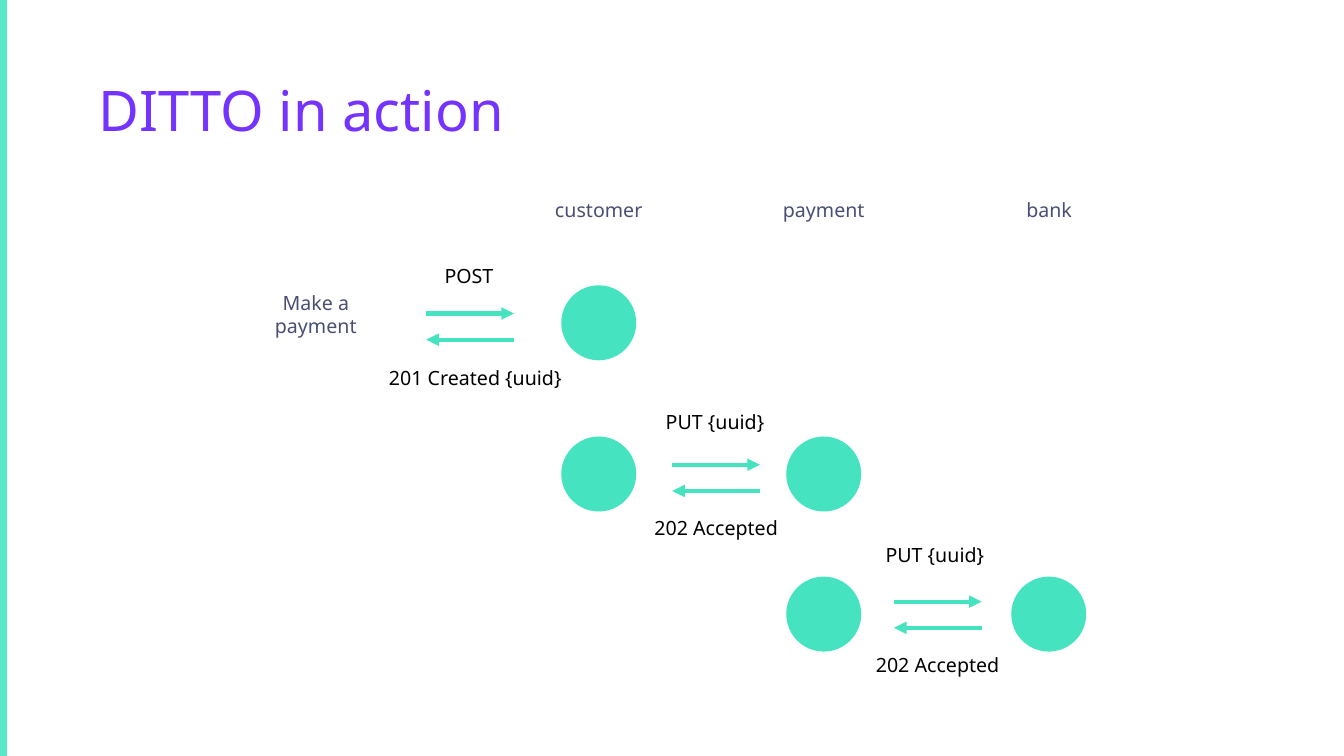
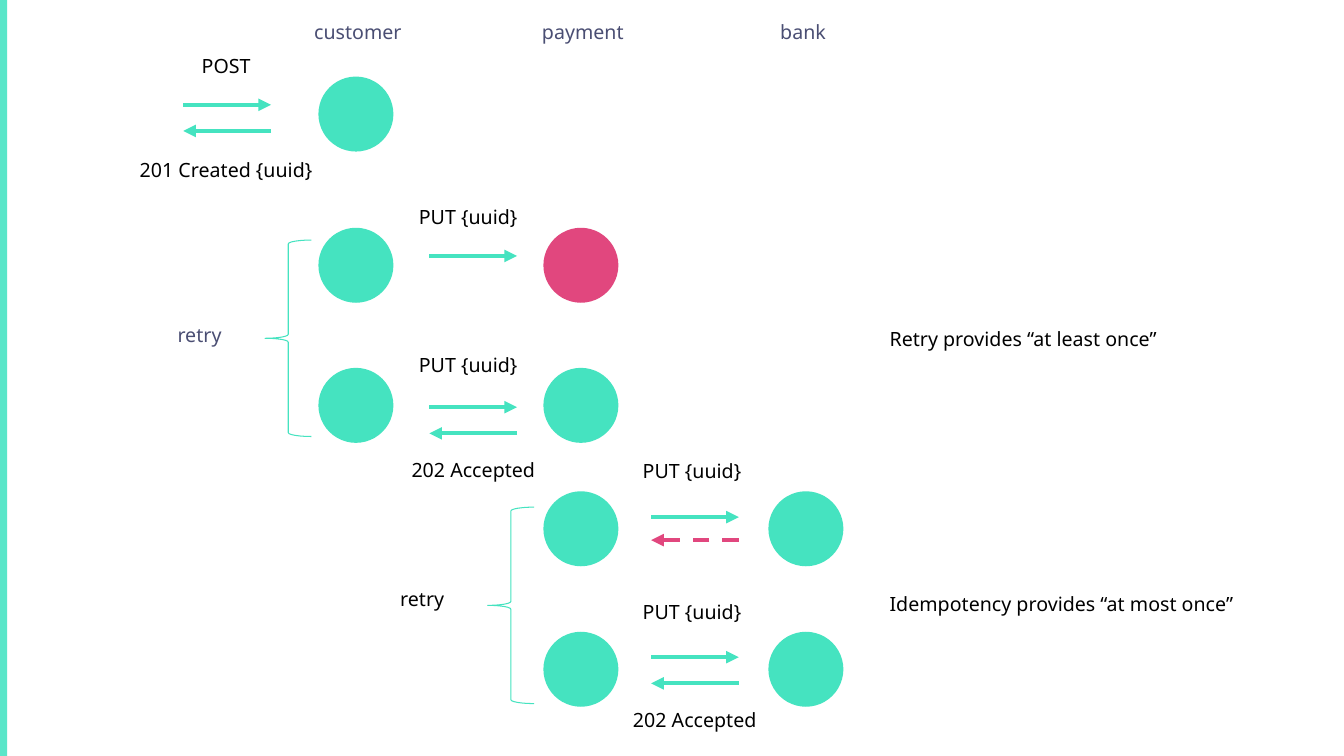
from dataclasses import dataclass

from lxml import etree
from pptx import Presentation
from pptx.dml.color import RGBColor
from pptx.enum.dml import MSO_LINE
from pptx.enum.shapes import MSO_CONNECTOR, MSO_SHAPE
from pptx.enum.text import MSO_ANCHOR, MSO_AUTO_SIZE, PP_ALIGN
from pptx.oxml.ns import qn
from pptx.util import Cm, Pt

STRAIGHT = MSO_CONNECTOR.STRAIGHT
OVAL, BAR, BRACE = MSO_SHAPE.OVAL, MSO_SHAPE.RECTANGLE, MSO_SHAPE.LEFT_BRACE
LEFT, CENTER = PP_ALIGN.LEFT, PP_ALIGN.CENTER
TOP, MIDDLE = MSO_ANCHOR.TOP, MSO_ANCHOR.MIDDLE


@dataclass(frozen=True)
class Theme:
    font: str = "Noto Sans"
    title_size: float = 40
    label_size: float = 14
    arrow_weight: float = 3
    brace_weight: float = 0.75
    mint: str = "45E3C0"
    band: str = "5AE6C9"
    failure: str = "E1477E"
    violet: str = "7433FF"
    slate: str = "4A4E73"
    ink: str = "000000"


THEME = Theme()
WIDTH, HEIGHT = 33.87, 19.05
BAND_WIDTH = 0.18
NODE, LANE_PITCH = 1.89, 5.67
ARROW, REPLY_GAP = 2.21, 0.66
BRACE_SIZE = (1.17, 4.95)
LABEL_HEIGHT = 1.02
LABEL_WIDTHS = {
    "customer": 3.61, "payment": 3.12, "bank": 2.03,
    "POST": 2.31, "PUT {uuid}": 3.89,
    "201 Created {uuid}": 6.43, "202 Accepted": 4.8,
    "Make a payment": 3.12, "retry": 2.24,
}

# Labels are (text, centre, top); arrows are (left, request height).
SLIDES = [
    {
        "title": "DITTO in action",
        "first_lane": 15.09,
        "services": [("customer", 15.09, 4.85), ("payment", 20.76, 4.85),
                     ("bank", 26.44, 4.85)],
        "calls": [
            {"top": 7.19, "lanes": [0], "arrow": (10.74, 7.9),
             "request": ("POST", 11.82, 6.53),
             "reply": ("201 Created {uuid}", 11.98, 9.09)},
            {"top": 11.0, "lanes": [0, 1], "arrow": (16.94, 11.71),
             "request": ("PUT {uuid}", 18.02, 10.19),
             "reply": ("202 Accepted", 18.05, 12.88)},
            {"top": 14.53, "lanes": [1, 2], "arrow": (22.53, 15.16),
             "request": ("PUT {uuid}", 23.56, 13.56),
             "reply": ("202 Accepted", 23.63, 16.33)},
        ],
        "actions": [(("Make a payment", 7.96, 7.19), THEME.slate, 1.88)],
    },
    {
        "first_lane": 8.97,
        "services": [("customer", 9.02, 0.38), ("payment", 14.69, 0.38),
                     ("bank", 20.24, 0.38)],
        "calls": [
            {"top": 1.93, "lanes": [0], "arrow": (4.62, 2.64),
             "request": ("POST", 5.7, 1.24),
             "reply": ("201 Created {uuid}", 5.7, 3.84)},
            {"top": 5.74, "lanes": [0, 1], "arrow": (10.82, 6.45),
             "request": ("PUT {uuid}", 11.8, 5.03), "failed_lane": 1},
            {"top": 9.27, "lanes": [0, 1], "arrow": (10.82, 10.26),
             "request": ("PUT {uuid}", 11.8, 8.76),
             "reply": ("202 Accepted", 11.93, 11.4)},
            {"top": 12.38, "lanes": [1, 2], "arrow": (16.41, 13.03),
             "request": ("PUT {uuid}", 17.44, 11.43), "lost_gap": 0.58},
            {"top": 15.92, "lanes": [1, 2], "arrow": (16.41, 16.56),
             "request": ("PUT {uuid}", 17.44, 14.99),
             "reply": ("202 Accepted", 17.51, 17.7)},
        ],
        "actions": [(("retry", 5.03, 8.0), THEME.slate, LABEL_HEIGHT),
                    (("retry", 10.64, 14.66), THEME.ink, LABEL_HEIGHT)],
        "braces": [(6.68, 6.05), (12.29, 12.78)],
        "guarantees": [("Retry provides “at least once”", 8.0, 9.09),
                       ("Idempotency provides “at most once”", 14.66, 9.8)],
    },
]


def rgb(value):
    return RGBColor.from_string(value)


def write(frame, text, size=THEME.label_size, color=THEME.ink, align=CENTER,
          anchor=TOP, inset=0.13, spacing=None):
    frame.auto_size = MSO_AUTO_SIZE.NONE
    frame.word_wrap = True
    frame.vertical_anchor = anchor
    frame.margin_left = frame.margin_right = Cm(0.25)
    frame.margin_top = frame.margin_bottom = Cm(inset)
    paragraph = frame.paragraphs[0]
    paragraph.alignment = align
    if spacing:
        paragraph.line_spacing = spacing
    run = paragraph.add_run()
    run.text = text
    run.font.name = THEME.font
    run.font.size = Pt(size)
    run.font.color.rgb = rgb(color)


def add_label(slide, label, color=THEME.ink, height=LABEL_HEIGHT):
    text, centre, top = label
    width = LABEL_WIDTHS[text]
    box = slide.shapes.add_textbox(Cm(centre - width / 2), Cm(top),
                                   Cm(width), Cm(height))
    write(box.text_frame, text, color=color)


def add_figure(slide, preset, left, top, width, height, fill=None, line=None):
    figure = slide.shapes.add_shape(preset, Cm(left), Cm(top),
                                    Cm(width), Cm(height))
    figure.shadow.inherit = False
    if fill:
        figure.fill.solid()
        figure.fill.fore_color.rgb = rgb(fill)
    else:
        figure.fill.background()
    if line:
        figure.line.color.rgb = rgb(line)
        figure.line.width = Pt(THEME.brace_weight)
    else:
        figure.line.fill.background()


def add_arrow(slide, start, end, y, color=THEME.mint, dashed=False):
    arrow = slide.shapes.add_connector(STRAIGHT, Cm(start), Cm(y), Cm(end), Cm(y))
    arrow.line.color.rgb = rgb(color)
    arrow.line.width = Pt(THEME.arrow_weight)
    if dashed:
        arrow.line.dash_style = MSO_LINE.DASH
    properties = arrow._element.spPr
    etree.SubElement(properties.find(qn("a:ln")), qn("a:tailEnd"), type="triangle")
    etree.SubElement(properties, qn("a:effectLst"))


def add_call(slide, call, first_lane):
    for lane in call["lanes"]:
        failed = lane == call.get("failed_lane")
        add_figure(slide, OVAL, first_lane + lane * LANE_PITCH - NODE / 2,
                   call["top"], NODE, NODE,
                   fill=THEME.failure if failed else THEME.mint)
    left, y = call["arrow"]
    right = left + ARROW
    add_arrow(slide, left, right, y)
    add_label(slide, call["request"])
    if "reply" in call:
        add_arrow(slide, right, left, y + REPLY_GAP)
        add_label(slide, call["reply"])
    if "lost_gap" in call:
        add_arrow(slide, right, left, y + call["lost_gap"],
                  color=THEME.failure, dashed=True)


def add_title(slide, text):
    title = slide.shapes.title
    title.left, title.top = Cm(2.24), Cm(1.02)
    title.width, title.height = Cm(29.21), Cm(3.68)
    write(title.text_frame, text, size=THEME.title_size, color=THEME.violet,
          align=LEFT, anchor=MIDDLE, spacing=0.9)


def build_slide(deck, content):
    titled = "title" in content
    slide = deck.slides.add_slide(deck.slide_layouts[5 if titled else 6])
    add_figure(slide, BAR, 0, 0, BAND_WIDTH, HEIGHT, fill=THEME.band)
    if titled:
        add_title(slide, content["title"])
    for service in content["services"]:
        add_label(slide, service, color=THEME.slate)
    for call in content["calls"]:
        add_call(slide, call, content["first_lane"])
    for action, color, height in content["actions"]:
        add_label(slide, action, color=color, height=height)
    for left, top in content.get("braces", []):
        add_figure(slide, BRACE, left, top, *BRACE_SIZE, line=THEME.mint)
    for text, top, width in content.get("guarantees", []):
        box = slide.shapes.add_textbox(Cm(22.17), Cm(top), Cm(width),
                                       Cm(LABEL_HEIGHT))
        write(box.text_frame, text, align=LEFT, inset=0.25)


def main():
    deck = Presentation()
    deck.slide_width, deck.slide_height = Cm(WIDTH), Cm(HEIGHT)
    for content in SLIDES:
        build_slide(deck, content)
    deck.save("out.pptx")


if __name__ == "__main__":
    main()
